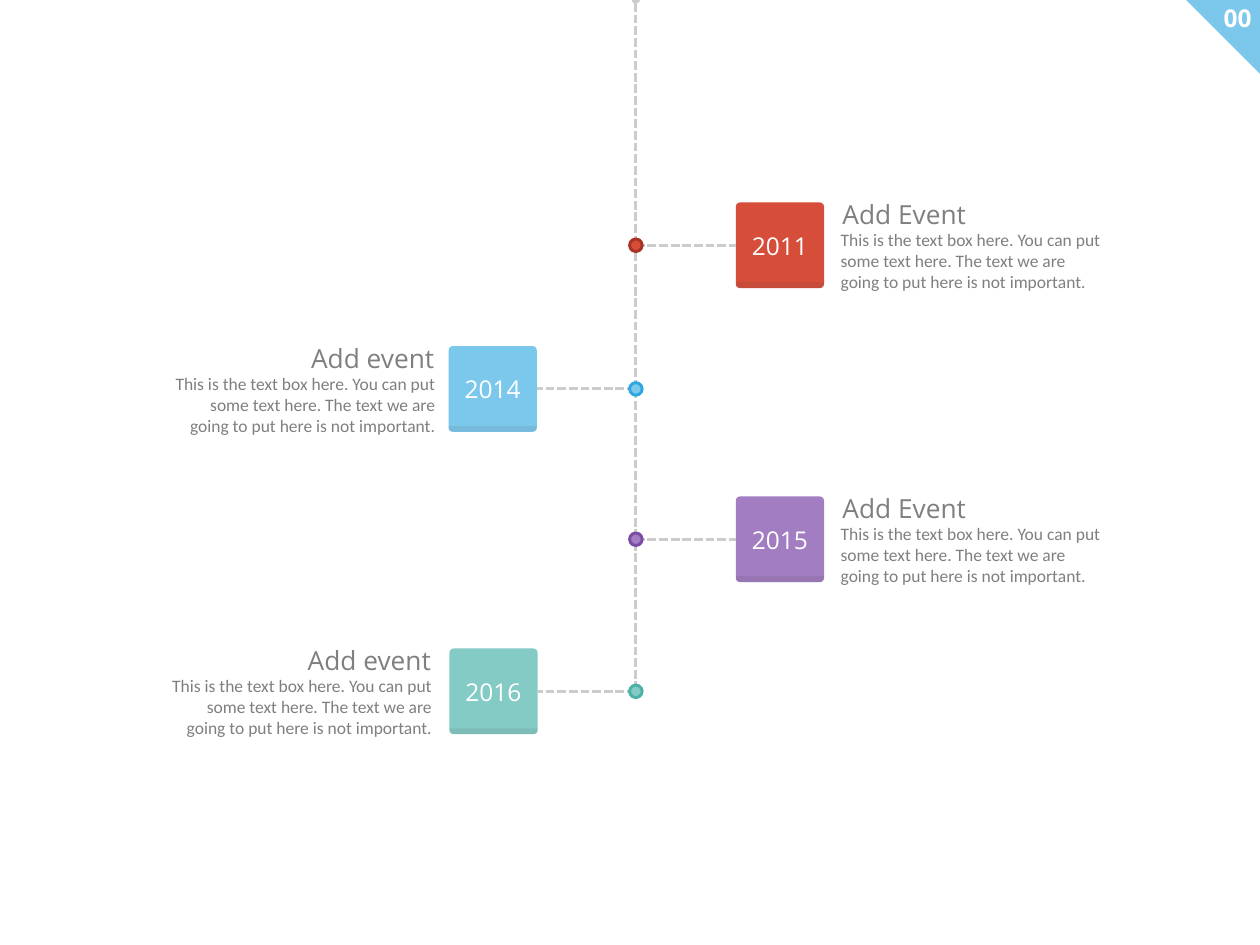
from pptx import Presentation
from pptx.util import Inches, Pt
from pptx.dml.color import RGBColor
from pptx.enum.dml import MSO_LINE as Dash
from pptx.enum.shapes import MSO_CONNECTOR as Link, MSO_SHAPE as Kind
from pptx.enum.text import MSO_ANCHOR as Anchor, MSO_AUTO_SIZE as Auto, PP_ALIGN as Align
from pptx.oxml.ns import qn
from lxml.etree import SubElement as Sub

WHITE = RGBColor(0xFF, 0xFF, 0xFF)
GRAY = RGBColor(0x7F, 0x7F, 0x7F)
SILVER = RGBColor(0xCC, 0xCC, 0xCC)
SHADE = RGBColor(0x40, 0x40, 0x40)
RED, RUST = RGBColor(0xD6, 0x4D, 0x3A), RGBColor(0xA9, 0x33, 0x23)
SKY, BLUE = RGBColor(0x7C, 0xC8, 0xEC), RGBColor(0x2D, 0xA7, 0xE1)
LILAC, PLUM = RGBColor(0xA2, 0x7D, 0xC2), RGBColor(0x7B, 0x4C, 0xA3)
MINT, TEAL = RGBColor(0x84, 0xCB, 0xC5), RGBColor(0x4B, 0xB1, 0xA8)

HEAD = {"name": "Open Sans", "size": Pt(22.5), "color": GRAY}
BODY = {"name": "Calibri", "size": Pt(15), "color": GRAY}
YEAR = {"name": "Open Sans", "size": Pt(21), "color": WHITE}
PAGE = {**YEAR, "bold": True}

NOTE = ("This is the text box here. You can put some text here. "
        "The text we are going to put here is not important.")
AXIS = 7.57
CARD_W, CARD_H, LIP, DOT = 1.05, 1.02, 0.07, 0.15
SPANS = [(-0.01, 2.93), (2.86, 4.64), (4.64, 6.41), (6.45, 8.22)]
EVENTS = [
    ("2011", 2.92, 8.76, 9.91, RED, RUST),
    ("2014", 4.63, 5.34, 1.98, SKY, BLUE),
    ("2015", 6.42, 8.76, 9.91, LILAC, PLUM),
    ("2016", 8.23, 5.35, 1.94, MINT, TEAL),
]


def add_text(frame, text, style, align):
    para = frame.paragraphs[0]
    para.alignment = align
    run = para.add_run()
    run.text = text
    for key, value in style.items():
        if key == "color":
            run.font.color.rgb = value
        else:
            setattr(run.font, key, value)


def add_label(slide, box, text, style, align, wrap=False):
    frame = slide.shapes.add_textbox(*map(Inches, box)).text_frame
    frame.word_wrap = wrap
    frame.auto_size = Auto.SHAPE_TO_FIT_TEXT
    add_text(frame, text, style, align)


def add_block(slide, kind, box, fill, adjust=(), edge=None):
    shape = slide.shapes.add_shape(kind, *map(Inches, box))
    shape.shadow.inherit = False
    shape.fill.solid()
    shape.fill.fore_color.rgb = fill
    for i, value in enumerate(adjust):
        shape.adjustments[i] = value
    if edge:
        shape.line.color.rgb = edge
        shape.line.width = Pt(2.5)
    else:
        shape.line.fill.background()
    return shape


def add_dash(slide, start, end):
    line = slide.shapes.add_connector(Link.STRAIGHT, *map(Inches, start + end))
    line.line.color.rgb = SILVER
    line.line.width = Pt(2.5)
    line.line.dash_style = Dash.SQUARE_DOT
    Sub(line._element.spPr, qn("a:effectLst"))
    return line


def add_spine(slide):
    lines = [add_dash(slide, (AXIS, top), (AXIS, low)) for top, low in SPANS]
    outline = lines[0].line._get_or_add_ln()
    for tag in ("a:headEnd", "a:tailEnd"):
        Sub(outline, qn(tag), type="oval")


def add_card(slide, x, y, year, fill):
    top = y - CARD_H / 2
    card = add_block(slide, Kind.ROUNDED_RECTANGLE, (x, top, CARD_W, CARD_H), fill, [0.049])
    card.text_frame.vertical_anchor = Anchor.MIDDLE
    add_text(card.text_frame, year, YEAR, Align.CENTER)
    lip = add_block(slide, Kind.ROUND_2_SAME_RECTANGLE,
                    (x, top + CARD_H - LIP, CARD_W, LIP), SHADE, [0, 0.5])
    tint = lip._element.spPr.find(qn("a:solidFill"))[0]
    Sub(tint, qn("a:alpha"), val="10000")
    return card


def add_event(slide, year, y, x, note_x, fill, edge):
    right = x > AXIS
    if right:
        title, align, shift, side = "Add Event", Align.LEFT, 0.02, 1
    else:
        title, align, shift, side = "Add event", Align.RIGHT, 1.61, 3
    card = add_card(slide, x, y, year, fill)
    spoke = add_dash(slide, (AXIS, y), (x if right else x + CARD_W, y))
    spoke.end_connect(card, side)
    add_block(slide, Kind.OVAL, (AXIS - DOT / 2, y - DOT / 2, DOT, DOT), fill, edge=edge)
    add_label(slide, (note_x + shift, y - 0.61, 1.68, 0.48), title, HEAD, align)
    add_label(slide, (note_x, y - 0.24, 3.3, 0.86), NOTE, BODY, align, True)


def add_corner(slide):
    corner = add_block(slide, Kind.ISOSCELES_TRIANGLE, (14.11, -0.01, 0.89, 0.89), SKY, [0])
    corner.rotation = 180
    add_label(slide, (14.46, -0.01, 0.54, 0.45), "00", PAGE, Align.RIGHT)


def main():
    deck = Presentation()
    deck.slide_width, deck.slide_height = Inches(15), Inches(11.25)
    slide = deck.slides.add_slide(deck.slide_layouts[6])
    add_corner(slide)
    add_spine(slide)
    for event in EVENTS:
        add_event(slide, *event)
    deck.save("out.pptx")


if __name__ == "__main__":
    main()
